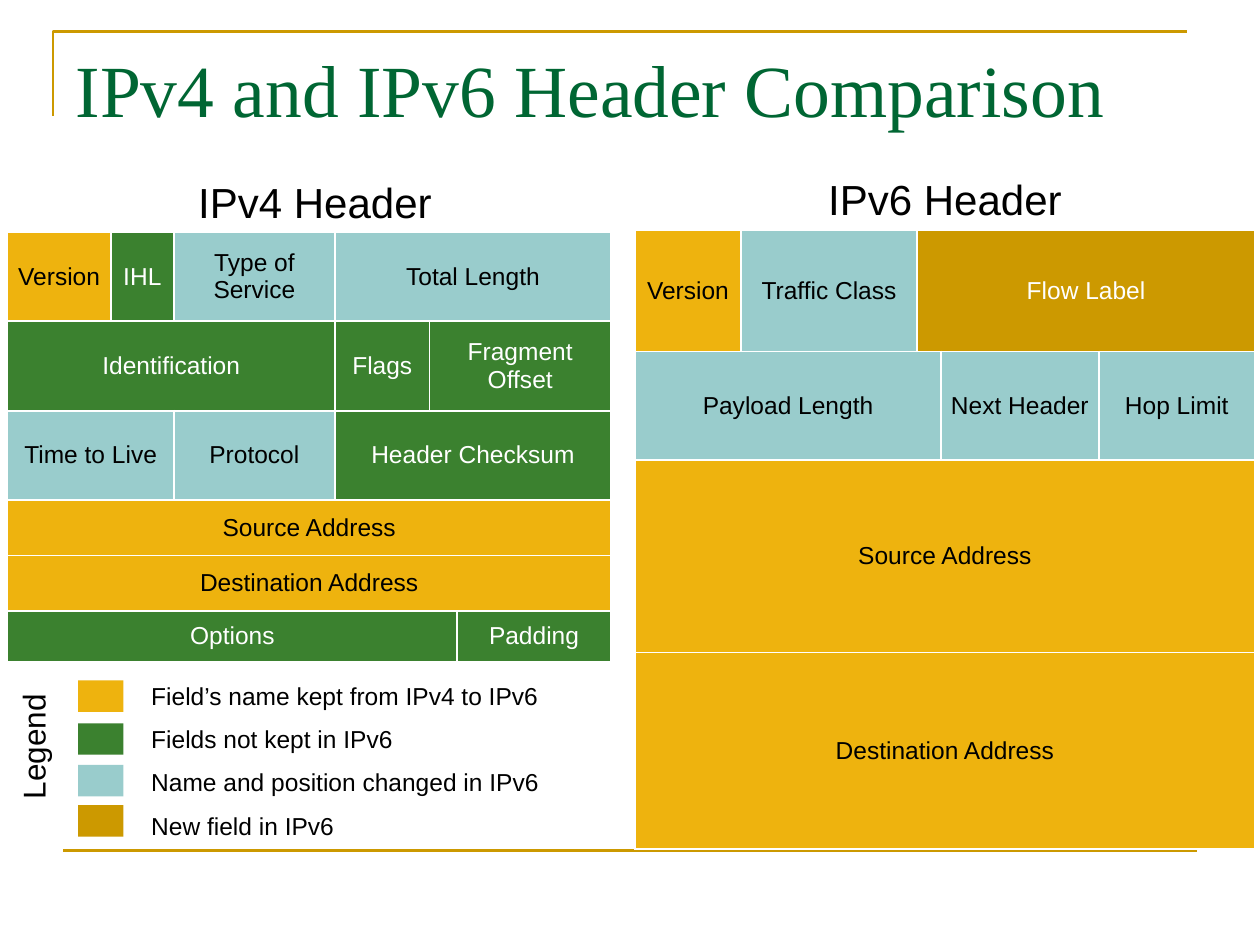
import pptx
import pptx.dml.color
import pptx.enum.shapes
import pptx.enum.text
import pptx.oxml
import pptx.oxml.ns
import pptx.util
from pptx.util import Inches

COLORS = {
    "kept": "EEB30E",
    "dropped": "3B812F",
    "changed": "99CCCC",
    "new": "CC9900",
    "rule": "CC9900",
    "title": "006633",
    "black": "000000",
    "white": "FFFFFF",
}

LEGEND = [
    ("kept", "Field’s name kept from IPv4 to IPv6", 5.4),
    ("dropped", "Fields not kept in IPv6", 5.74),
    ("changed", "Name and position changed in IPv6", 6.07),
    ("new", "New field in IPv6", 6.39),
]

# Each field: name, status, number of grid columns it spans
IPV4_FIELDS = [
    [("Version", "kept", 1), ("IHL", "dropped", 1),
     ("Type of Service", "changed", 1), ("Total Length", "changed", 3)],
    [("Identification", "dropped", 3), ("Flags", "dropped", 1),
     ("Fragment Offset", "dropped", 2)],
    [("Time to Live", "changed", 2), ("Protocol", "changed", 1),
     ("Header Checksum", "dropped", 3)],
    [("Source Address", "kept", 6)],
    [("Destination Address", "kept", 6)],
    [("Options", "dropped", 5), ("Padding", "dropped", 1)],
]
IPV6_FIELDS = [
    [("Version", "kept", 1), ("Traffic Class", "changed", 1), ("Flow Label", "new", 3)],
    [("Payload Length", "changed", 3), ("Next Header", "changed", 1),
     ("Hop Limit", "changed", 1)],
    [("Source Address", "kept", 5)],
    [("Destination Address", "kept", 5)],
]


def rgb(name):
    return pptx.dml.color.RGBColor.from_string(COLORS[name])


def add_run(paragraph, text, size, color="black", font="Arial"):
    run = paragraph.add_run()
    run.text = text
    run.font.size = pptx.util.Pt(size)
    run.font.name = font
    run.font.color.rgb = rgb(color)


def style_rule(line):
    line.color.rgb = rgb("rule")
    line.width = pptx.util.Pt(1.5)


def add_rules(slide):
    """Draw the corner above the title and the line at the foot."""
    builder = slide.shapes.build_freeform(Inches(0.42), Inches(0.92))
    builder.add_line_segments(
        [(Inches(0.42), Inches(0.25)), (Inches(9.42), Inches(0.25))], close=False)
    corner = builder.convert_to_shape()
    corner.shadow.inherit = False
    corner.fill.background()
    style_rule(corner.line)

    foot = slide.shapes.add_connector(
        pptx.enum.shapes.MSO_CONNECTOR.STRAIGHT,
        Inches(0.5), Inches(6.75), Inches(9.5), Inches(6.75))
    style_rule(foot.line)
    foot._element.spPr.append(pptx.oxml.parse_xml(
        f'<a:effectLst {pptx.oxml.ns.nsdecls("a")}/>'))


def add_title(slide, text):
    title = slide.shapes.title
    title.left, title.top = Inches(0.5), Inches(0.3)
    title.width, title.height = Inches(9), Inches(1.25)
    frame = title.text_frame
    frame.auto_size = pptx.enum.text.MSO_AUTO_SIZE.NONE
    frame.vertical_anchor = pptx.enum.text.MSO_ANCHOR.TOP
    paragraph = frame.paragraphs[0]
    paragraph.alignment = pptx.enum.text.PP_ALIGN.LEFT
    add_run(paragraph, text, 42, "title", "Times New Roman")


def add_text(slide, box, lines, size, centered=False, line_spacing=1.0, gap=0,
             left_margin=0.09):
    label = slide.shapes.add_textbox(*map(Inches, box))
    frame = label.text_frame
    frame.word_wrap = True
    frame.margin_left, frame.margin_right = Inches(left_margin), Inches(0.09)
    frame.margin_top = frame.margin_bottom = Inches(0.04)
    for index, text in enumerate(lines):
        paragraph = frame.add_paragraph() if index else frame.paragraphs[0]
        paragraph.line_spacing = line_spacing
        if index:
            paragraph.space_before = pptx.util.Pt(gap)
        if centered:
            paragraph.alignment = pptx.enum.text.PP_ALIGN.CENTER
        add_run(paragraph, text, size)
    return label


def add_cell_borders(cell):
    properties = cell._tc.get_or_add_tcPr()
    for side in ("lnL", "lnR", "lnT", "lnB"):
        properties.append(pptx.oxml.parse_xml(
            f'<a:{side} {pptx.oxml.ns.nsdecls("a")} w="13716"><a:solidFill>'
            f'<a:srgbClr val="{COLORS["white"]}"/></a:solidFill></a:{side}>'))


def fill_field(cell, name, status):
    cell.vertical_anchor = pptx.enum.text.MSO_ANCHOR.MIDDLE
    cell.margin_left = cell.margin_right = Inches(0.05)
    cell.margin_top = cell.margin_bottom = Inches(0.05)
    paragraph = cell.text_frame.paragraphs[0]
    paragraph.alignment = pptx.enum.text.PP_ALIGN.CENTER
    add_run(paragraph, name, 14, "white" if status in ("dropped", "new") else "black")


def add_header_table(slide, left, top, widths, heights, fields):
    table = slide.shapes.add_table(
        len(heights), len(widths), Inches(left), Inches(top),
        Inches(sum(widths)), Inches(sum(heights))).table
    table.first_row = table.horz_banding = False
    for column, width in zip(table.columns, widths):
        column.width = Inches(width)
    for row, height in zip(table.rows, heights):
        row.height = Inches(height)
    for row, row_fields in enumerate(fields):
        start = 0
        for name, status, span in row_fields:
            first = table.cell(row, start)
            for column in range(start, start + span):
                cell = table.cell(row, column)
                add_cell_borders(cell)
                cell.fill.solid()
                cell.fill.fore_color.rgb = rgb(status)
            if span > 1:
                first.merge(table.cell(row, start + span - 1))
            fill_field(first, name, status)
            start += span


def add_legend(slide):
    add_text(slide, (0.86, 5.38, 3.75, 1.34), [text for _, text, _ in LEGEND],
             14, line_spacing=0.95, gap=8.8, left_margin=0.34)
    heading = add_text(slide, (-0.4, 5.74, 1.37, 0.38), ["Legend"], 18,
                       line_spacing=0.95, left_margin=0.27)
    heading.rotation = 270
    for status, _, top in LEGEND:
        swatch = slide.shapes.add_shape(
            pptx.enum.shapes.MSO_SHAPE.RECTANGLE,
            Inches(0.62), Inches(top), Inches(0.36), Inches(0.25))
        swatch.shadow.inherit = False
        swatch.fill.solid()
        swatch.fill.fore_color.rgb = rgb(status)
        swatch.line.fill.background()


def main():
    deck = pptx.Presentation()
    deck.slide_width, deck.slide_height = Inches(10), Inches(7.5)
    slide = deck.slides.add_slide(deck.slide_layouts[5])
    add_rules(slide)
    add_title(slide, "IPv4 and IPv6 Header Comparison")
    add_text(slide, (0, 1.36, 5, 0.48), ["IPv4 Header"], 24, centered=True)
    add_text(slide, (5, 1.34, 5, 0.48), ["IPv6 Header"], 24, centered=True)
    add_header_table(slide, 5.04, 1.83, [0.84, 1.4, 0.19, 1.25, 1.24],
                     [0.96, 0.86, 1.53, 1.56], IPV6_FIELDS)
    add_header_table(slide, 0.06, 1.84, [0.82, 0.5, 1.28, 0.75, 0.22, 1.22],
                     [0.71, 0.71, 0.71, 0.44, 0.44, 0.4], IPV4_FIELDS)
    add_legend(slide)
    deck.save("out.pptx")


if __name__ == "__main__":
    main()
